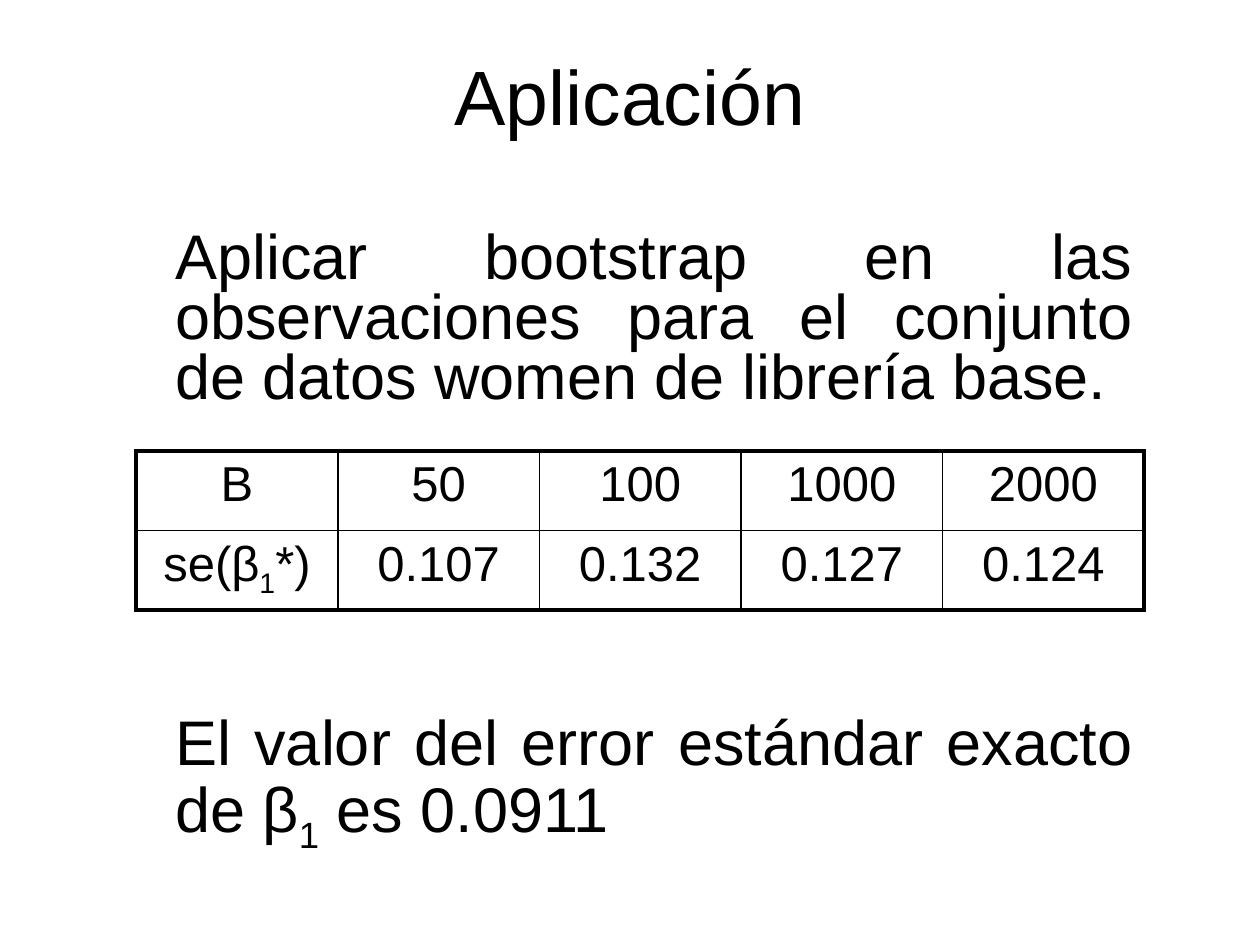
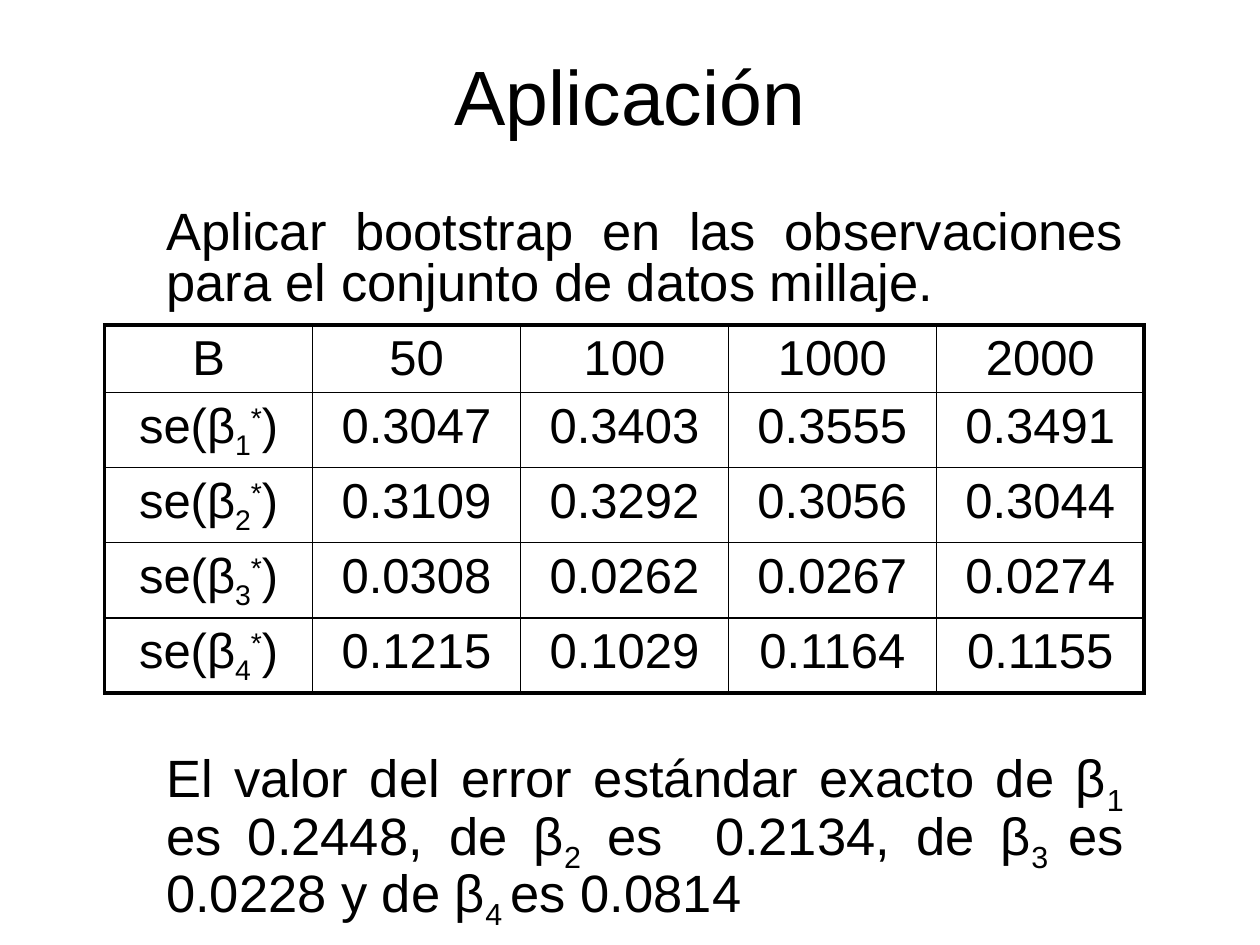
"""Build two slides on bootstrap standard errors, each with a text and a table."""
from dataclasses import dataclass

from lxml.etree import SubElement
from pptx import Presentation
from pptx.dml.color import RGBColor
from pptx.enum.text import MSO_ANCHOR, MSO_AUTO_SIZE, PP_ALIGN
from pptx.oxml.ns import qn
from pptx.util import Pt


@dataclass(frozen=True)
class Theme:
    font: str = "Arial"
    ink: str = "000000"
    paper: str = "FFFFFF"
    title_size: float = 44
    cell_size: float = 28
    line_spacing: float = 0.8
    outer_line: float = 2.25
    inner_line: float = 1


THEME = Theme()
SLIDE_SIZE = (720, 540)
TITLE = "Aplicación"
TITLE_BOX = (36, 21.6, 648, 64.8)
SHIFTS = {"_": "-25000", "^": "30000"}
HEADER = ["B", "50", "100", "1000", "2000"]

SLIDES = [
    {
        "task": "Aplicar bootstrap en las observaciones para el conjunto de datos women de librería base.",
        "result": "El valor del error estándar exacto de β|_1| es 0.0911",
        "body_box": (92.9, 128.2, 561.6, 351.4),
        "body_size": 36,
        "gap": 174.5,
        "table_box": (77.8, 257.8, 576, 90.7),
        "row_height": 45.36,
        "rows": [["se(β|_1|*)", "0.107", "0.132", "0.127", "0.124"]],
    },
    {
        "task": "Aplicar bootstrap en las observaciones para el conjunto de datos millaje.",
        "result": "El valor del error estándar exacto de β|_1| es 0.2448, de β|_2| es  0.2134, "
                  "de β|_3 |es 0.0228 y de β|_4 |es 0.0814",
        "body_box": (87.8, 116.6, 561.6, 423.4),
        "body_size": 30,
        "gap": 252,
        "table_box": (59.8, 185.8, 594, 203.8),
        "row_height": 36.72,
        "rows": [
            ["se(β|_1|^*|)", "0.3047", "0.3403", "0.3555", "0.3491"],
            ["se(β|_2|^*|)", "0.3109", "0.3292", "0.3056", "0.3044"],
            ["se(β|_3|^*|)", "0.0308", "0.0262", "0.0267", "0.0274"],
            ["se(β|_4|^*|)", "0.1215", "0.1029", "0.1164", "0.1155"],
        ],
    },
]


def set_all(target, values):
    for name, value in values.items():
        setattr(target, name, value)


def place(shape, bounds):
    set_all(shape, dict(zip(("left", "top", "width", "height"), map(Pt, bounds))))


def write(para, text, size, **layout):
    set_all(para, layout)
    for piece in text.split("|"):
        span = para.add_run()
        span.text = piece[1:] if piece[0] in SHIFTS else piece
        set_all(span.font, {"name": THEME.font, "size": Pt(size)})
        span.font.color.rgb = RGBColor.from_string(THEME.ink)
        if piece[0] in SHIFTS:
            span.font._element.set("baseline", SHIFTS[piece[0]])


def add_title(page):
    box = page.shapes.title
    place(box, TITLE_BOX)
    box.text_frame.vertical_anchor = MSO_ANCHOR.MIDDLE
    write(box.text_frame.paragraphs[0], TITLE, THEME.title_size, alignment=PP_ALIGN.CENTER)


def add_body(page, content):
    box = page.placeholders[1]
    place(box, content["body_box"])
    frame = box.text_frame
    set_all(frame, {"word_wrap": True, "auto_size": MSO_AUTO_SIZE.NONE})
    layout = {"alignment": PP_ALIGN.JUSTIFY, "line_spacing": THEME.line_spacing}
    write(frame.paragraphs[0], content["task"], content["body_size"], **layout)
    write(frame.add_paragraph(), content["result"], content["body_size"],
          space_before=Pt(content["gap"]), **layout)
    for para in frame.paragraphs:
        properties = para._p.get_or_add_pPr()
        for name in ("marL", "indent"):
            properties.set(name, "0")
        SubElement(properties, qn("a:buNone"))


def add_borders(cell, edges):
    properties = cell._tc.get_or_add_tcPr()
    for index, (side, is_outer) in enumerate(edges.items()):
        width = THEME.outer_line if is_outer else THEME.inner_line
        line = SubElement(properties, qn(f"a:ln{side}"), w=str(int(Pt(width))))
        fill = SubElement(line, qn("a:solidFill"))
        SubElement(fill, qn("a:srgbClr"), val=THEME.ink)
        properties.insert(index, line)


def add_grid(page, content):
    rows = [HEADER] + content["rows"]
    last_row, last_column = len(rows) - 1, len(HEADER) - 1
    frame = page.shapes.add_table(len(rows), len(HEADER), *map(Pt, content["table_box"]))
    table = frame.table
    set_all(table, {"first_row": False, "horz_banding": False})
    for row_index, row in enumerate(rows):
        table.rows[row_index].height = Pt(content["row_height"])
        for column, text in enumerate(row):
            cell = table.cell(row_index, column)
            cell.fill.background()
            write(cell.text_frame.paragraphs[0], text, THEME.cell_size, alignment=PP_ALIGN.CENTER)
            add_borders(cell, {"L": column == 0, "R": column == last_column,
                               "T": row_index == 0, "B": row_index == last_row})
    frame.height = Pt(content["table_box"][3])


deck = Presentation()
deck.slide_width, deck.slide_height = map(Pt, SLIDE_SIZE)
background = deck.slide_master.background.fill
background.solid()
background.fore_color.rgb = RGBColor.from_string(THEME.paper)
for content in SLIDES:
    page = deck.slides.add_slide(deck.slide_layouts[1])
    add_title(page)
    add_body(page, content)
    add_grid(page, content)
deck.save("out.pptx")
